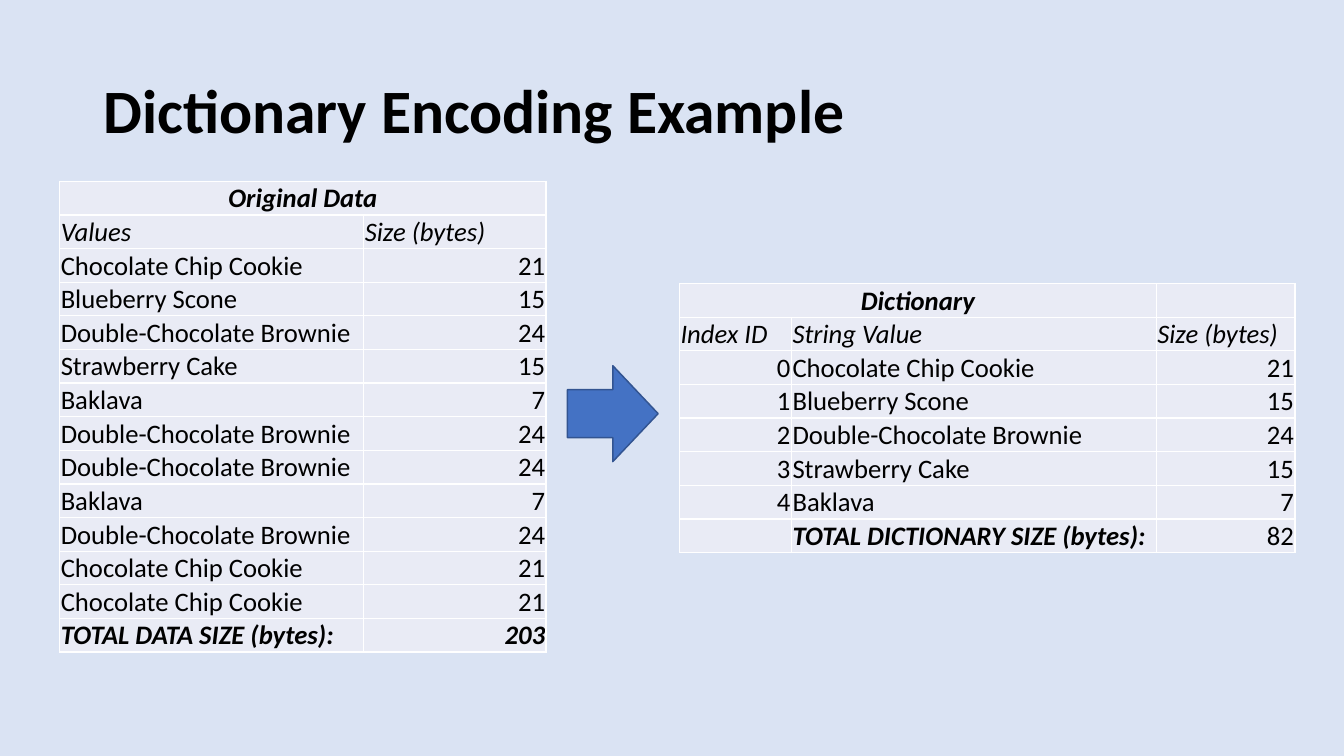
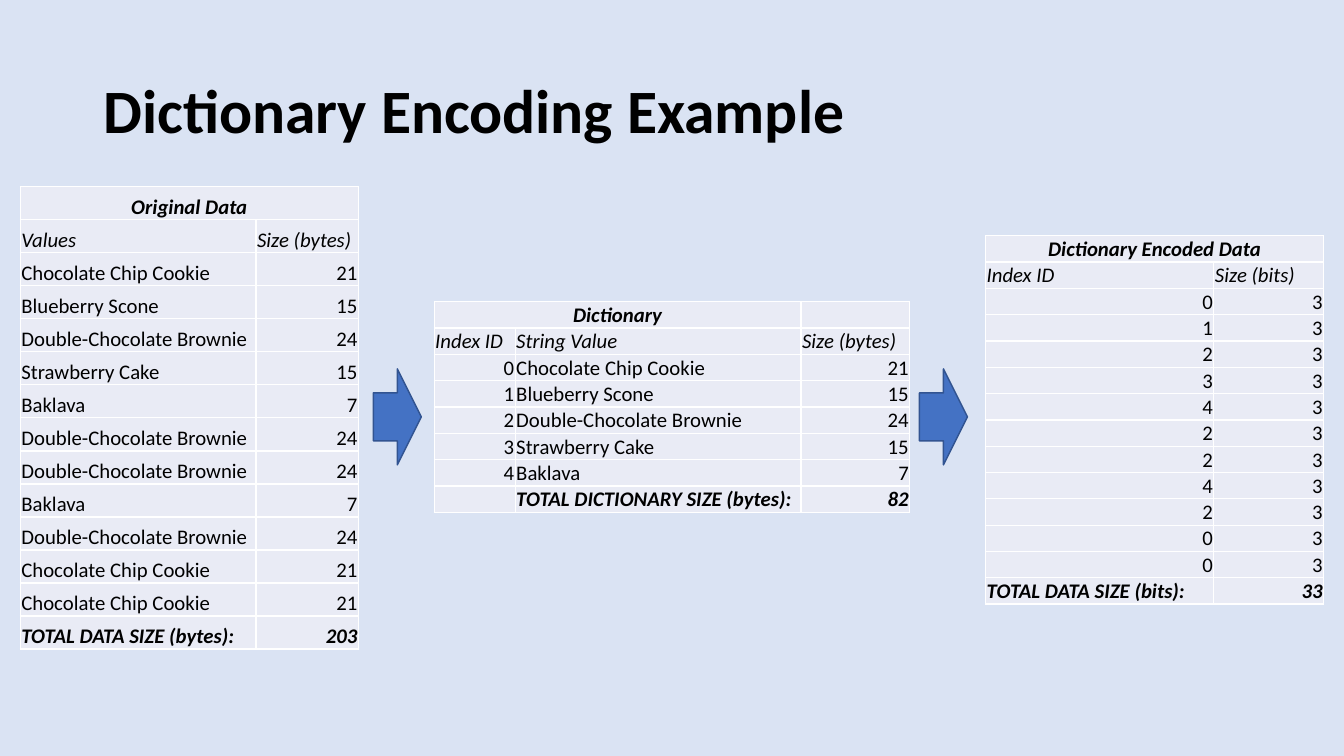
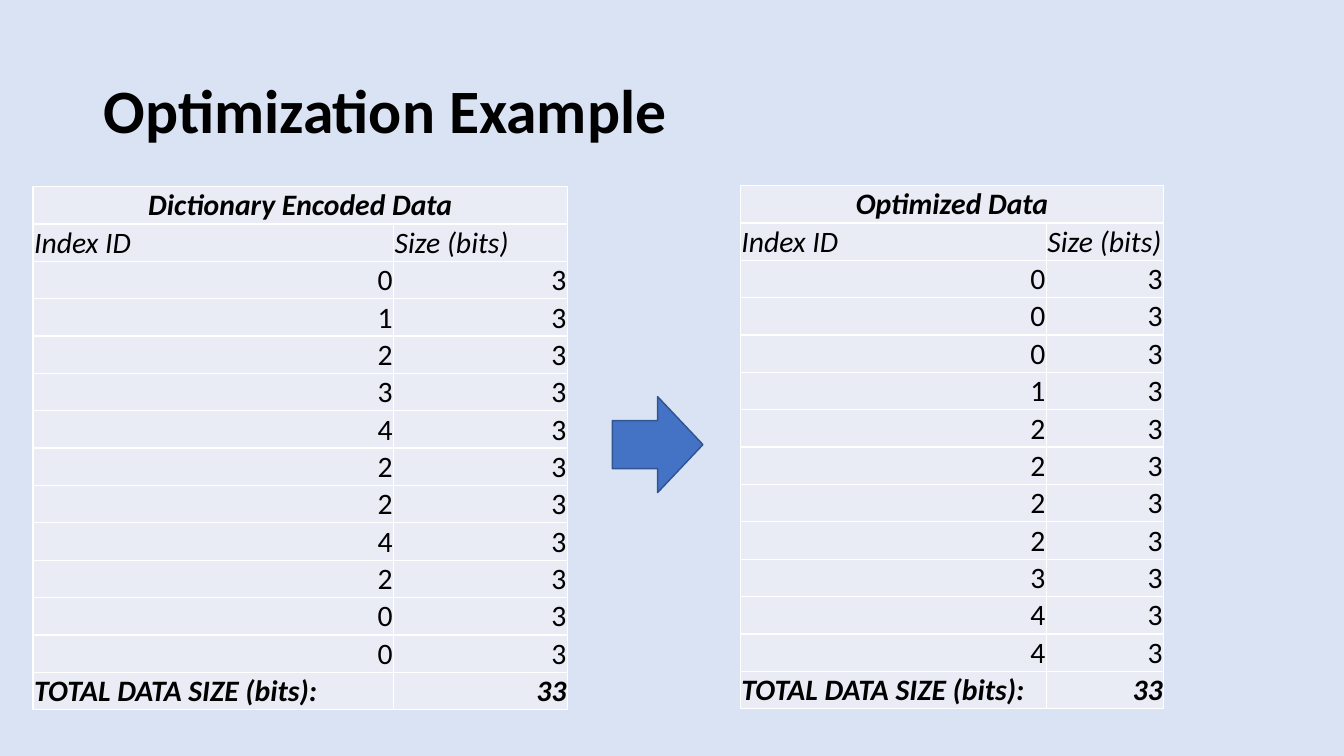
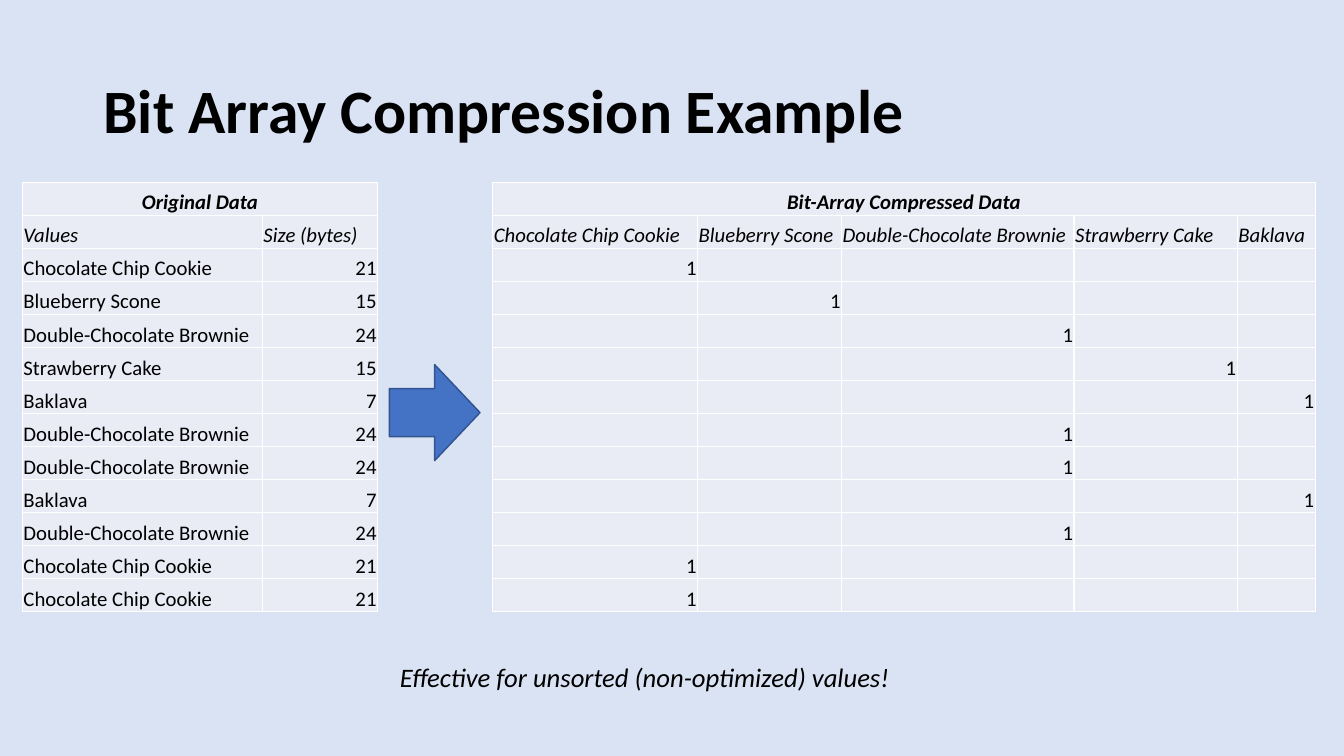
from lxml import etree
from pptx import Presentation
from pptx.dml.color import RGBColor
from pptx.enum.shapes import MSO_SHAPE
from pptx.enum.text import MSO_ANCHOR, MSO_AUTO_SIZE, PP_ALIGN
from pptx.oxml.ns import qn
from pptx.util import Inches, Pt

FONT = "Calibri"
BACKGROUND = RGBColor(0xDA, 0xE3, 0xF3)
CELL_FILL = RGBColor(0xE9, 0xEB, 0xF5)
ARROW_FILL = RGBColor(0x44, 0x72, 0xC4)
ARROW_LINE = RGBColor(0x32, 0x54, 0x91)
BLACK = RGBColor(0, 0, 0)
WHITE = RGBColor(0xFF, 0xFF, 0xFF)

PASTRIES = [
    ("Chocolate Chip Cookie", 21),
    ("Blueberry Scone", 15),
    ("Double-Chocolate Brownie", 24),
    ("Strawberry Cake", 15),
    ("Baklava", 7),
]
SEQUENCE = [0, 1, 2, 3, 4, 2, 2, 4, 2, 0, 0]
INDEX_BITS = 3


def style_font(font, size, bold=False, italic=False):
    """Apply the deck's typeface and colour."""
    font.name, font.size = FONT, Pt(size)
    font.bold, font.italic = bold, italic
    font.color.rgb = BLACK


def add_slide(prs, title, width):
    """Add a title-only slide with the shared title style."""
    slide = prs.slides.add_slide(prs.slide_layouts[5])
    shape = slide.shapes.title
    shape.left, shape.top = Inches(0.87), Inches(0.38)
    shape.width, shape.height = Inches(width), Inches(1.37)
    frame = shape.text_frame
    frame.text = title
    frame.auto_size = MSO_AUTO_SIZE.NONE
    frame.vertical_anchor = MSO_ANCHOR.MIDDLE
    paragraph = frame.paragraphs[0]
    paragraph.alignment = PP_ALIGN.LEFT
    paragraph.line_spacing = 0.9
    style_font(paragraph.runs[0].font, 41.6, bold=True)
    return slide


def add_borders(cell):
    """Draw a thin white line on every side of a cell."""
    properties = cell._tc.get_or_add_tcPr()
    for position, side in enumerate(("lnL", "lnR", "lnT", "lnB")):
        line = etree.Element(qn(f"a:{side}"), w=str(Pt(1)))
        fill = etree.SubElement(line, qn("a:solidFill"))
        etree.SubElement(fill, qn("a:srgbClr"), val=str(WHITE))
        properties.insert(position, line)


def write_cell(cell, value, size, bold=False, italic=False):
    """Write a value: numbers go right, text left, None leaves it empty."""
    paragraph = cell.text_frame.paragraphs[0]
    if value is None:
        etree.SubElement(paragraph._p, qn("a:endParaRPr"), sz=str(size * 100))
        return
    cell.text = str(value)
    paragraph = cell.text_frame.paragraphs[0]
    paragraph.alignment = PP_ALIGN.RIGHT if isinstance(value, int) else PP_ALIGN.LEFT
    style_font(paragraph.runs[0].font, size, bold, italic)


def add_data_table(slide, left, top, height, widths, rows, size, has_total=True):
    """Add a table with a heading row, a column-name row and an optional total."""
    table = slide.shapes.add_table(
        len(rows), len(widths), Inches(left), Inches(top),
        Inches(sum(widths)), Inches(height)).table
    table.first_row = table.horz_banding = False
    for column, width in zip(table.columns, widths):
        column.width = Inches(width)
    for r, values in enumerate(rows):
        table.rows[r].height = Inches(height / len(rows))
        strong = r == 0 or (has_total and r == len(rows) - 1)
        for c, value in enumerate(values):
            cell = table.cell(r, c)
            cell.fill.solid()
            cell.fill.fore_color.rgb = CELL_FILL
            cell.margin_left = cell.margin_right = cell.margin_top = Inches(0.01)
            cell.margin_bottom = 0
            cell.vertical_anchor = MSO_ANCHOR.BOTTOM
            add_borders(cell)
            write_cell(cell, value, size, bold=strong, italic=strong or r == 1)
    table.cell(0, 0).text_frame.paragraphs[0].alignment = PP_ALIGN.CENTER
    return table


def add_titled_table(slide, left, top, height, widths, rows, size, span=None,
                     has_total=True):
    """Add a data table whose heading spans several columns (all by default)."""
    table = add_data_table(slide, left, top, height, widths, rows, size, has_total)
    table.cell(0, 0).merge(table.cell(0, (span or len(widths)) - 1))
    return table


def add_arrow(slide, left, top, width=0.85):
    """Add a block arrow pointing right."""
    arrow = slide.shapes.add_shape(
        MSO_SHAPE.RIGHT_ARROW, Inches(left), Inches(top), Inches(width), Inches(0.9))
    arrow.shadow.inherit = False
    arrow.fill.solid()
    arrow.fill.fore_color.rgb = ARROW_FILL
    arrow.line.color.rgb = ARROW_LINE
    arrow.line.width = Pt(1)


def add_note(slide, text, left, top, width, height):
    """Add an italic one-line remark."""
    frame = slide.shapes.add_textbox(
        Inches(left), Inches(top), Inches(width), Inches(height)).text_frame
    frame.word_wrap = False
    frame.auto_size = MSO_AUTO_SIZE.SHAPE_TO_FIT_TEXT
    frame.text = text
    style_font(frame.paragraphs[0].runs[0].font, 18, italic=True)


def original_rows():
    """Rows of the uncompressed data, without the total."""
    return [("Original Data", None), ("Values", "Size (bytes)"),
            *(PASTRIES[i] for i in SEQUENCE)]


def original_total():
    """Total row of the uncompressed data."""
    return "TOTAL DATA SIZE (bytes):", sum(PASTRIES[i][1] for i in SEQUENCE)


def dictionary_rows():
    """Rows of the dictionary of distinct values."""
    return [("Dictionary", None, None), ("Index ID", "String Value", "Size (bytes)"),
            *((i, name, size) for i, (name, size) in enumerate(PASTRIES)),
            (None, "TOTAL DICTIONARY SIZE (bytes):", sum(size for _, size in PASTRIES))]


def index_rows(heading, sequence):
    """Rows of index IDs with their size in bits."""
    return [(heading, None), ("Index ID", "Size (bits)"),
            *((i, INDEX_BITS) for i in sequence),
            ("TOTAL DATA SIZE (bits):", INDEX_BITS * len(sequence))]


def bit_array_rows():
    """Rows with a 1 in the column of the value that occurs."""
    columns = range(len(PASTRIES))
    return [("Bit-Array Compressed Data", *[None] * (len(PASTRIES) - 1)),
            tuple(name for name, _ in PASTRIES),
            *(tuple(1 if c == i else None for c in columns) for i in SEQUENCE)]


def dictionary_slide(prs):
    """Original data beside its dictionary."""
    slide = add_slide(prs, "Dictionary Encoding Example", 10.87)
    add_titled_table(slide, 0.56, 1.7, 4.35, (2.85, 1.71),
                     original_rows() + [original_total()], 18)
    rows = dictionary_rows()
    table = add_titled_table(slide, 6.37, 2.66, 2.48, (1.05, 3.42, 1.3), rows, 18, span=2)
    write_cell(table.cell(len(rows) - 1, 2), rows[-1][2], 18)
    add_arrow(slide, 5.32, 3.43)


def encoding_slide(prs):
    """Original data, dictionary and encoded data in sequence."""
    slide = add_slide(prs, "Dictionary Encoding Example", 10.87)
    add_titled_table(slide, 0.19, 1.75, 4.34, (2.21, 0.96),
                     original_rows() + [original_total()], 14)
    add_titled_table(slide, 4.07, 2.83, 1.95, (0.76, 2.68, 1.02),
                     dictionary_rows(), 14, span=2)
    add_titled_table(slide, 9.24, 2.21, 3.41, (2.14, 1.03),
                     index_rows("Dictionary Encoded Data", SEQUENCE), 14)
    for left in (3.5, 8.62):
        add_arrow(slide, left, 3.46, 0.45)


def optimization_slide(prs):
    """Encoded data before and after sorting."""
    slide = add_slide(prs, "Optimization Example", 11.13)
    add_titled_table(slide, 0.31, 1.75, 4.84, (3.38, 1.63),
                     index_rows("Dictionary Encoded Data", SEQUENCE), 20)
    add_titled_table(slide, 6.94, 1.74, 4.81, (2.87, 1.1),
                     index_rows("Optimized Data", sorted(SEQUENCE)), 20)
    add_arrow(slide, 5.74, 3.72)


def bit_array_slide(prs):
    """Original data beside its bit arrays."""
    slide = add_slide(prs, "Bit Array Compression Example", 11.24)
    add_arrow(slide, 3.65, 3.42)
    add_titled_table(slide, 0.21, 1.71, 4.03, (2.25, 1.08),
                     original_rows(), 14, has_total=False)
    add_titled_table(slide, 4.62, 1.71, 4.03, (1.92, 1.35, 2.18, 1.53, 0.73),
                     bit_array_rows(), 14, has_total=False)
    add_note(slide, "Effective for unsorted (non-optimized) values!",
             3.65, 6.15, 4.85, 0.4)


def main():
    """Build and save the deck."""
    prs = Presentation()
    prs.slide_width, prs.slide_height = Inches(12.6), Inches(7.09)
    background = prs.slide_master.background.fill
    background.solid()
    background.fore_color.rgb = BACKGROUND
    dictionary_slide(prs)
    encoding_slide(prs)
    optimization_slide(prs)
    bit_array_slide(prs)
    prs.save("out.pptx")


main()
